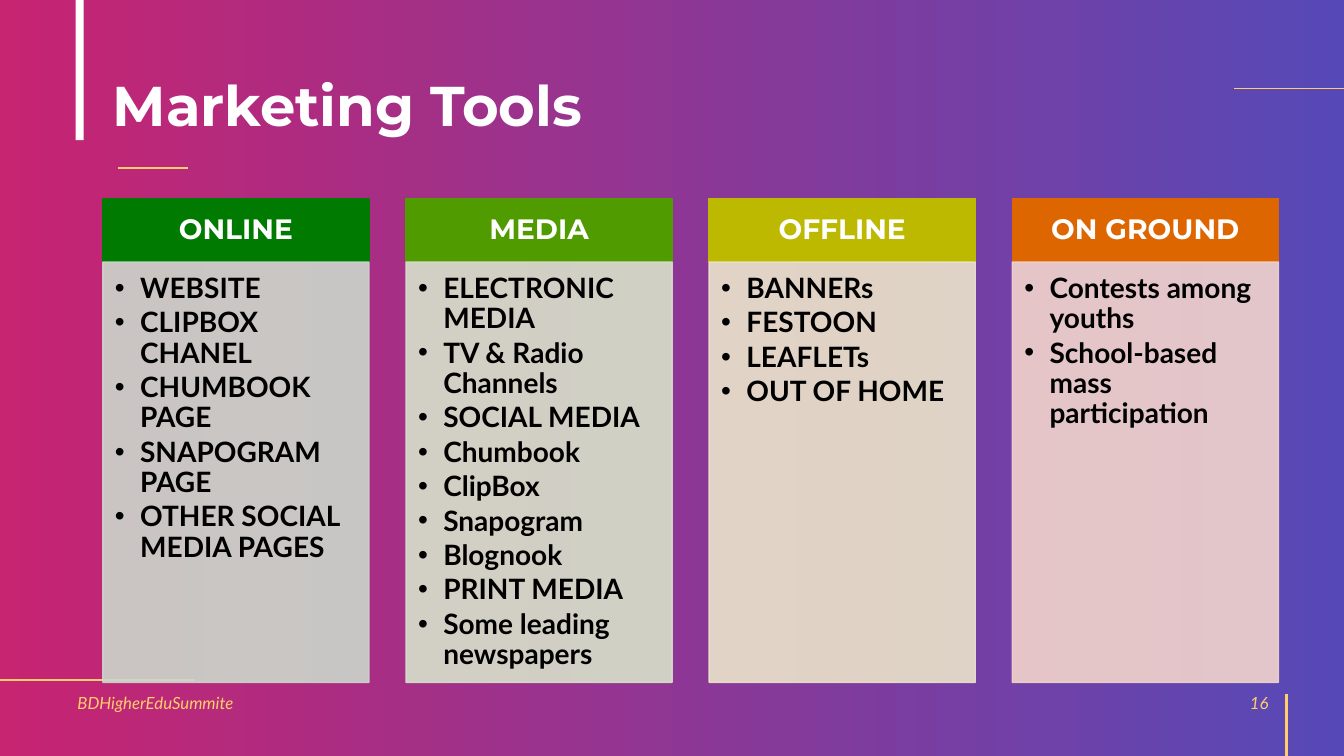
from dataclasses import dataclass

from lxml import etree
from pptx import Presentation
from pptx.dml.color import RGBColor
from pptx.enum.shapes import MSO_CONNECTOR, MSO_SHAPE
from pptx.enum.text import MSO_ANCHOR, PP_ALIGN
from pptx.oxml.ns import qn
from pptx.util import Inches, Pt

LEFT, CENTER, RIGHT = PP_ALIGN.LEFT, PP_ALIGN.CENTER, PP_ALIGN.RIGHT
TOP, MIDDLE = MSO_ANCHOR.TOP, MSO_ANCHOR.MIDDLE
RECTANGLE, STRAIGHT = MSO_SHAPE.RECTANGLE, MSO_CONNECTOR.STRAIGHT

TITLE = "Marketing Tools"
EVENT = "BDHigherEduSummite"
PAGE = "16"
TOOLS = [
    ("ONLINE", "007A00", "CCD7CC",
     ["WEBSITE", "CLIPBOX CHANEL", "CHUMBOOK PAGE", "SNAPOGRAM PAGE",
      "OTHER SOCIAL MEDIA PAGES"]),
    ("MEDIA", "509B00", "D8E1CB",
     ["ELECTRONIC MEDIA", "TV & Radio Channels", "SOCIAL MEDIA", "Chumbook",
      "ClipBox", "Snapogram", "Blognook", "PRINT MEDIA",
      "Some leading newspapers"]),
    ("OFFLINE", "BDB800", "EBE4CB",
     ["BANNERs", "FESTOON", "LEAFLETs", "OUT OF HOME"]),
    ("ON GROUND", "DE6600", "F2D4CC",
     ["Contests among youths", "School-based mass participation"]),
]


@dataclass(frozen=True)
class Theme:
    white: str = "FFFFFF"
    black: str = "000000"
    gold: str = "FFCD6B"
    backdrop: tuple = ("BE005A", "3B2CAC")
    backdrop_opacity: int = 85
    panel_opacity: int = 90
    heading_font: str = "Montserrat"
    body_font: str = "Lato"
    title_size: int = 40
    text_size: int = 20
    footer_size: int = 12


THEME = Theme()
WIDTH, HEIGHT = 13.33, 7.5
GRID_LEFT, GRID_RIGHT = 1.02, 12.68
COLUMN = 2.64
PITCH = (GRID_RIGHT - GRID_LEFT - COLUMN) / (len(TOOLS) - 1)
HEAD_TOP, HEAD_HEIGHT, PANEL_HEIGHT = 1.97, 0.63, 4.17
FOOTER_TOP, FOOTER_HEIGHT = 6.77, 0.4
INDENT = 0.25
RULES = [
    (1.17, 1.67, 1.86, 1.67, 1.5),
    (12.24, 0.88, WIDTH, 0.88, 0.5),
    (0, 6.75, 1.93, 6.75, 1.5),
    (12.76, HEIGHT, 12.76, 6.89, 1.5),
]

TITLE_TYPE = dict(name=THEME.heading_font, size=Pt(THEME.title_size), bold=True)
HEAD_TYPE = dict(name=THEME.heading_font, size=Pt(THEME.text_size), bold=True)
ITEM_TYPE = dict(name=THEME.body_font, size=Pt(THEME.text_size), bold=True)
FOOTER_TYPE = dict(name=THEME.body_font, size=Pt(THEME.footer_size), italic=True)
TITLE_SPACING = dict(alignment=LEFT, line_spacing=0.9)
HEAD_SPACING = dict(alignment=CENTER, line_spacing=0.9)
ITEM_SPACING = dict(alignment=LEFT, line_spacing=0.9, space_after=Pt(3))
PLAIN_INSETS = (0.1, 0.05, 0.1, 0.05)
HEAD_INSETS = (0.16, 0.09, 0.16, 0.09)
PANEL_INSETS = (0.12, 0.12, 0.16, 0.17)


def assign(target, values):
    for key, value in values.items():
        setattr(target, key, value)


def set_opacity(shape, percent):
    for color in shape._element.spPr.iter(qn("a:srgbClr")):
        etree.SubElement(color, qn("a:alpha"), val=str(percent * 1000))


def add_block(slide, box, color=None):
    block = slide.shapes.add_shape(RECTANGLE, *map(Inches, box))
    block.shadow.inherit = False
    if color:
        block.fill.solid()
        block.fill.fore_color.rgb = RGBColor.from_string(color)
    block.line.fill.background()
    return block


def add_panel(slide, box, color):
    panel = add_block(slide, box, color)
    panel.line.color.rgb = RGBColor.from_string(color)
    panel.line.width = Pt(1)
    return panel


def add_bullet(paragraph):
    properties = paragraph._p.get_or_add_pPr()
    properties.set("marL", str(Inches(INDENT)))
    properties.set("indent", str(-Inches(INDENT)))
    etree.SubElement(properties, qn("a:buFont"), typeface="Arial")
    etree.SubElement(properties, qn("a:buChar"), char="•")


def write(shape, lines, type_style, color, spacing, insets, anchor, bulleted=False):
    frame = shape.text_frame
    sides = ("margin_left", "margin_top", "margin_right", "margin_bottom")
    assign(frame, dict(zip(sides, map(Inches, insets))))
    assign(frame, dict(word_wrap=True, vertical_anchor=anchor))
    for index, line in enumerate(lines):
        paragraph = frame.add_paragraph() if index else frame.paragraphs[0]
        assign(paragraph, spacing)
        if bulleted:
            add_bullet(paragraph)
        run = paragraph.add_run()
        run.text = line
        assign(run.font, type_style)
        run.font.color.rgb = RGBColor.from_string(color)


def add_label(slide, box, text, type_style, color, spacing):
    label = slide.shapes.add_textbox(*map(Inches, box))
    write(label, [text], type_style, color, spacing, PLAIN_INSETS, MIDDLE)


def add_rule(slide, x1, y1, x2, y2, weight):
    rule = slide.shapes.add_connector(STRAIGHT, *map(Inches, (x1, y1, x2, y2)))
    rule.line.color.rgb = RGBColor.from_string(THEME.gold)
    rule.line.width = Pt(weight)
    etree.SubElement(rule._element.spPr, qn("a:effectLst"))


def add_backdrop(slide):
    backdrop = add_block(slide, (0, 0, WIDTH, HEIGHT))
    backdrop.fill.gradient()
    backdrop.fill.gradient_angle = 0
    for position, (stop, color) in enumerate(
            zip(backdrop.fill.gradient_stops, THEME.backdrop)):
        stop.position = position
        stop.color.rgb = RGBColor.from_string(color)
    set_opacity(backdrop, THEME.backdrop_opacity)


def add_tools(slide):
    for index, (heading, head_color, panel_color, items) in enumerate(TOOLS):
        left = GRID_LEFT + index * PITCH
        head = add_panel(slide, (left, HEAD_TOP, COLUMN, HEAD_HEIGHT), head_color)
        write(head, [heading], HEAD_TYPE, THEME.white, HEAD_SPACING,
              HEAD_INSETS, MIDDLE)
        panel = add_panel(
            slide, (left, HEAD_TOP + HEAD_HEIGHT, COLUMN, PANEL_HEIGHT), panel_color)
        set_opacity(panel, THEME.panel_opacity)
        write(panel, items, ITEM_TYPE, THEME.black, ITEM_SPACING,
              PANEL_INSETS, TOP, bulleted=True)


def main():
    deck = Presentation()
    assign(deck, dict(slide_width=Inches(WIDTH), slide_height=Inches(HEIGHT)))
    slide = deck.slides.add_slide(deck.slide_layouts[6])
    add_backdrop(slide)
    add_block(slide, (0.75, 0, 0.08, 1.39), THEME.white)
    for rule in RULES:
        add_rule(slide, *rule)
    add_label(slide, (GRID_LEFT, 0.5, 10.9, 1.15), TITLE, TITLE_TYPE,
              THEME.white, TITLE_SPACING)
    add_tools(slide)
    for left, width, text, side in [(0.67, 3.56, EVENT, LEFT),
                                    (GRID_RIGHT - 3, 3, PAGE, RIGHT)]:
        add_label(slide, (left, FOOTER_TOP, width, FOOTER_HEIGHT), text,
                  FOOTER_TYPE, THEME.gold, dict(alignment=side))
    deck.save("out.pptx")


if __name__ == "__main__":
    main()
